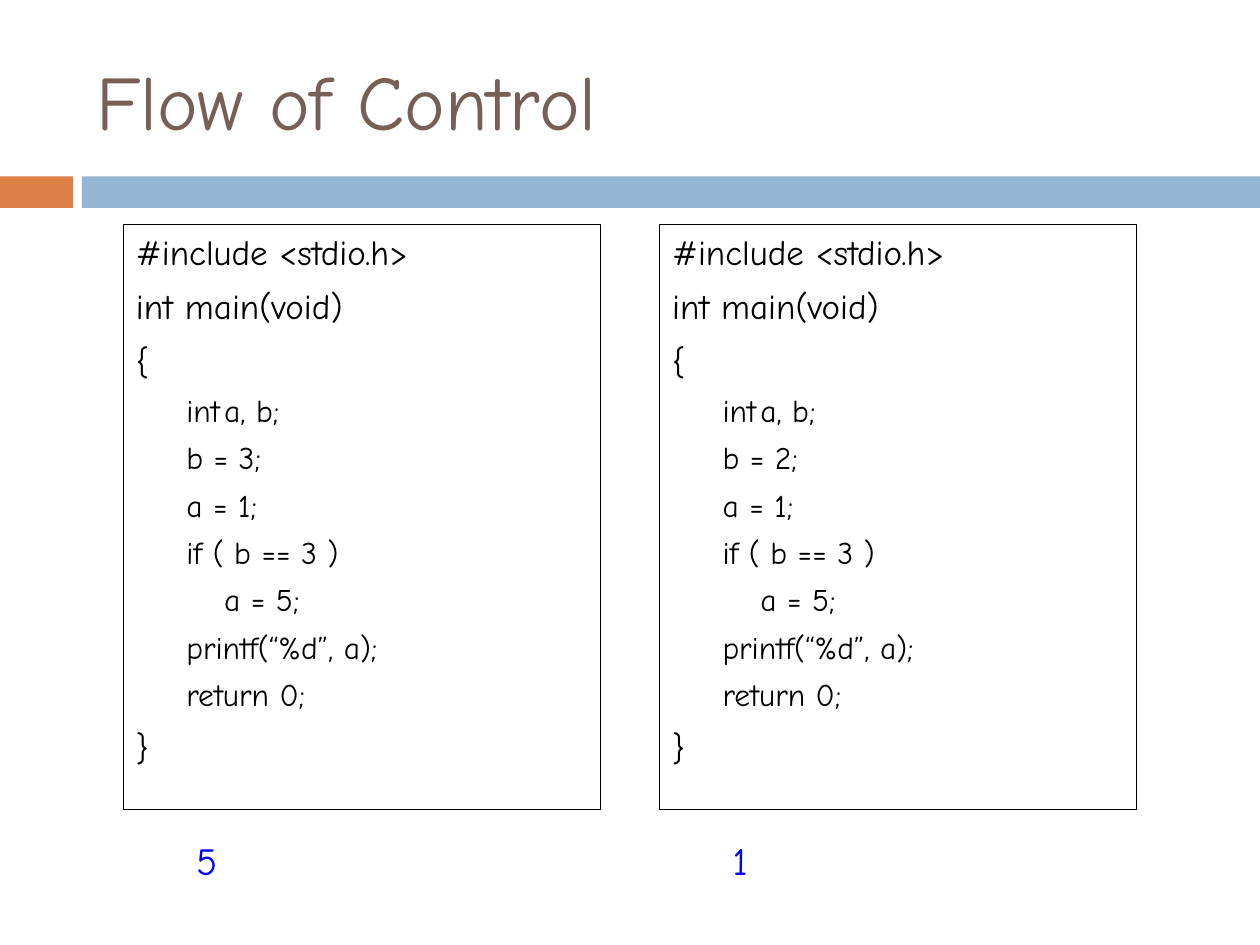
from lxml.etree import SubElement
from pptx import Presentation
from pptx.dml.color import RGBColor
from pptx.enum.shapes import MSO_SHAPE
from pptx.enum.text import MSO_ANCHOR, MSO_AUTO_SIZE, PP_ALIGN
from pptx.oxml.ns import qn
from pptx.util import Pt

FONT = "Comic Neue"
TITLE = "Flow of Control"
PROGRAMS = [{"b": 3, "output": "5"}, {"b": 2, "output": "1"}]
# Each line of code: nesting level, text
CODE = [
    (0, "#include <stdio.h>"),
    (0, "int main(void)"),
    (0, "{"),
    (1, "int\ta, b;"),
    (1, "b = {b};"),
    (1, "a = 1;"),
    (1, "if ( b == 3 )"),
    (1, "\ta = 5;"),
    (1, "printf(“%d”, a);"),
    (1, "return 0;"),
    (0, "}"),
]
# Formats per nesting level: size, space before, left margin, first line
LEVELS = [
    {"size": 20, "before": 7, "margin": 25.2, "indent": -25.2},
    {"size": 18, "before": 5.5, "margin": 50.4, "indent": -21.6},
]
BANDS = [(0, 41.8, "DD8047"), (46.8, 673.2, "94B6D2")]
BAND_TOP, BAND_HEIGHT = 100.8, 18
CODE_LEFT, CODE_TOP, CODE_WIDTH, CODE_HEIGHT = 70.6, 128.2, 272.4, 334.6
COLUMN_PITCH = 306.4
OUTPUT_INSET, OUTPUT_TOP = 34.5, 474.5
TAB_COUNT, TAB_STEP = 8, 72


def color(value):
    return RGBColor.from_string(value)


def set_values(target, values):
    for name, value in values.items():
        setattr(target, name, value)


def add_rectangle(page, left, top, width, height, fill=None, line=None):
    box = page.shapes.add_shape(
        MSO_SHAPE.RECTANGLE, Pt(left), Pt(top), Pt(width), Pt(height))
    box.shadow.inherit = False
    if fill:
        box.fill.solid()
        box.fill.fore_color.rgb = color(fill)
    else:
        box.fill.background()
    if line:
        box.line.color.rgb = color(line)
        box.line.width = Pt(0.75)
    else:
        box.line.fill.background()
    return box


def write(para, text, size, ink, before=0, margin=0, indent=0, level=0):
    set_values(para, {"alignment": PP_ALIGN.LEFT, "level": level,
                      "space_before": Pt(before)})
    properties = para._p.get_or_add_pPr()
    properties.set("marL", str(Pt(margin)))
    properties.set("indent", str(Pt(indent)))
    tabs = SubElement(properties, qn("a:tabLst"))
    for number in range(TAB_COUNT):
        SubElement(tabs, qn("a:tab"), pos=str(Pt(number * TAB_STEP)), algn="l")
    span = para.add_run()
    span.text = text
    set_values(span.font, {"name": FONT, "size": Pt(size)})
    span.font.color.rgb = color(ink)


def add_label(page, left, top, width, height, frame_format, **text_format):
    box = page.shapes.add_textbox(Pt(left), Pt(top), Pt(width), Pt(height))
    set_values(box.text_frame, {"word_wrap": True, **frame_format})
    write(box.text_frame.paragraphs[0], **text_format)


def add_program(page, left, program):
    box = add_rectangle(
        page, left, CODE_TOP, CODE_WIDTH, CODE_HEIGHT, line="000000")
    frame = box.text_frame
    set_values(frame, {"word_wrap": True, "vertical_anchor": MSO_ANCHOR.TOP})
    for number, (level, text) in enumerate(CODE):
        para = frame.add_paragraph() if number else frame.paragraphs[0]
        write(para, text.replace("{b}", str(program["b"])),
              ink="000000", level=level, **LEVELS[level])
    add_label(page, left + OUTPUT_INSET, OUTPUT_TOP, 209.5, 33.8,
              {"auto_size": MSO_AUTO_SIZE.SHAPE_TO_FIT_TEXT},
              text=program["output"], size=22, ink="0000FF", before=5.5)


def main():
    deck = Presentation()
    set_values(deck, {"slide_width": Pt(720), "slide_height": Pt(540)})
    page = deck.slides.add_slide(deck.slide_layouts[6])
    for left, width, fill in BANDS:
        add_rectangle(page, left, BAND_TOP, width, BAND_HEIGHT, fill=fill)
    add_label(page, 48, 18, 642, 78, {"vertical_anchor": MSO_ANCHOR.MIDDLE},
              text=TITLE, size=44, ink="775F55")
    for column, program in enumerate(PROGRAMS):
        add_program(page, CODE_LEFT + column * COLUMN_PITCH, program)
    deck.save("out.pptx")


if __name__ == "__main__":
    main()
